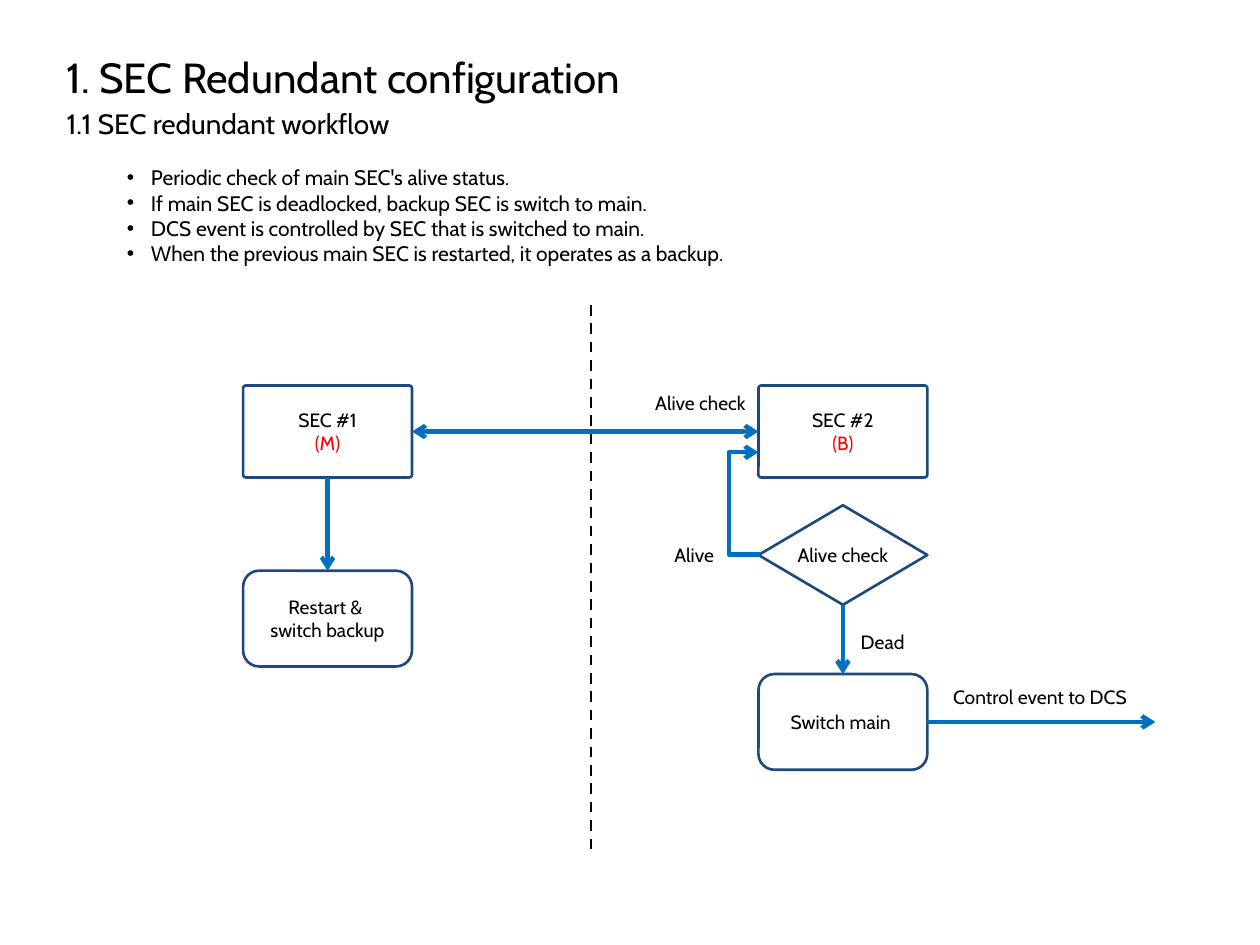
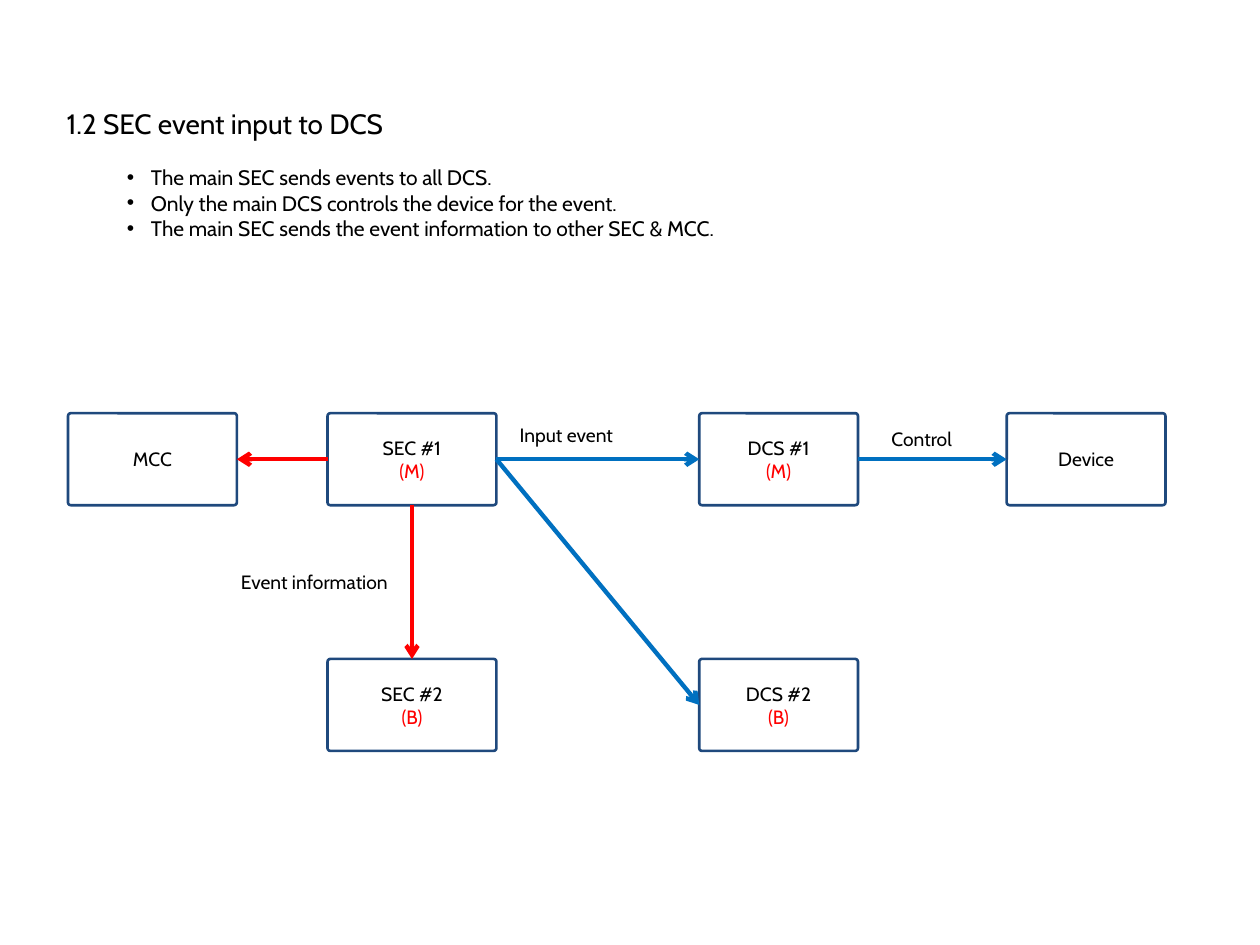
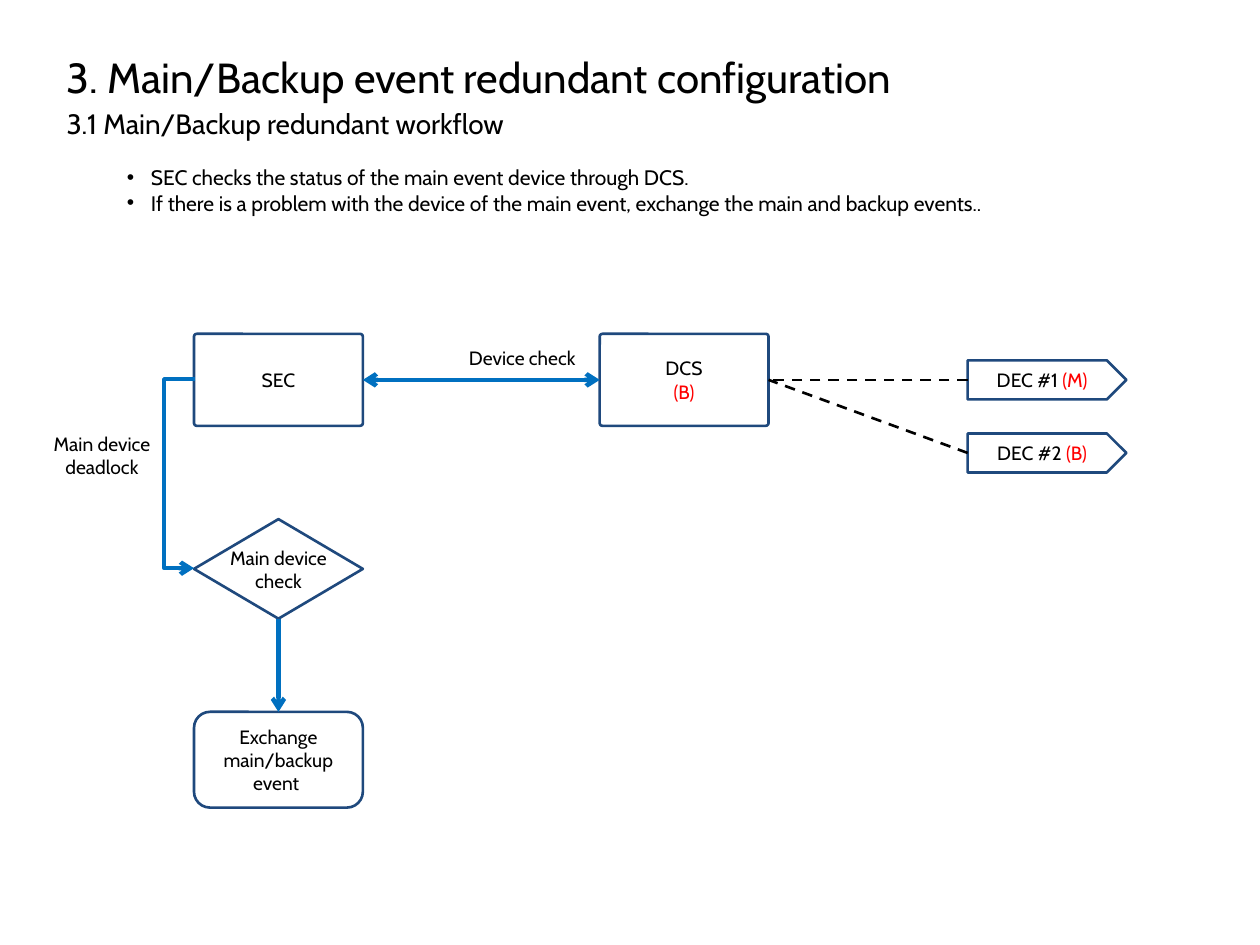
from pptx import Presentation
from pptx.dml.color import RGBColor
from pptx.enum.dml import MSO_LINE
from pptx.enum.shapes import MSO_CONNECTOR, MSO_SHAPE
from pptx.enum.text import MSO_ANCHOR, MSO_AUTO_SIZE, PP_ALIGN
from pptx.oxml.ns import qn
from pptx.util import Inches, Pt
from lxml import etree

ROUND_RECT = MSO_SHAPE.ROUNDED_RECTANGLE
DIAMOND = MSO_SHAPE.DIAMOND
PENTAGON = MSO_SHAPE.PENTAGON
STRAIGHT = MSO_CONNECTOR.STRAIGHT
ELBOW = MSO_CONNECTOR.ELBOW
DASH = MSO_LINE.DASH
LEFT_ALIGN = PP_ALIGN.LEFT
CENTER = PP_ALIGN.CENTER
MIDDLE = MSO_ANCHOR.MIDDLE
FIT_SHAPE = MSO_AUTO_SIZE.SHAPE_TO_FIT_TEXT

TOP, LEFT, BOTTOM, RIGHT = range(4)
FONT = "Cabin"
BLACK, WHITE, RED = "000000", "FFFFFF", "FF0000"
NAVY, BLUE = "1F497D", "0070C0"
NODE_W, NODE_H = 1.34, 0.73
DEVICE_W = 1.26
STEP_H, CHECK_H, EVENT_H = 0.76, 0.79, 0.31
ELBOW_REACH = 0.25


def rgb(color):
    return RGBColor.from_string(color)


def add_run(p, text, size, color):
    r = p.add_run()
    r.text = text
    r.font.name = FONT
    r.font.size = Pt(size)
    r.font.color.rgb = rgb(color)


def add_bullet(p):
    pPr = p._p.get_or_add_pPr()
    pPr.set("marL", str(Inches(0.19)))
    pPr.set("indent", str(-Inches(0.19)))
    etree.SubElement(pPr, qn("a:buFont"), typeface="Arial")
    etree.SubElement(pPr, qn("a:buChar"), char="•")


def write_text(tf, text, size=11, align=CENTER, wrap=False, bullets=False):
    """Write one paragraph per line; a role in brackets, such as (M), is red."""
    tf.word_wrap = wrap
    for i, line in enumerate(text.split("\n")):
        p = tf.paragraphs[0] if i == 0 else tf.add_paragraph()
        p.alignment = align
        if bullets:
            add_bullet(p)
        name, bracket, role = line.partition("(")
        if name:
            add_run(p, name, size, BLACK)
        if role:
            add_run(p, bracket + role, size, RED)


def add_text(s, text, x, y, w, h=0.29, **text_format):
    tf = s.shapes.add_textbox(Inches(x), Inches(y), Inches(w), Inches(h)).text_frame
    write_text(tf, text, **text_format)
    tf.auto_size = FIT_SHAPE


def add_box(s, text, x, y, w, h, kind=ROUND_RECT, corner=None):
    sp = s.shapes.add_shape(kind, Inches(x), Inches(y), Inches(w), Inches(h))
    if corner is not None:
        sp.adjustments[0] = corner
    sp.shadow.inherit = False
    sp.fill.solid()
    sp.fill.fore_color.rgb = rgb(WHITE)
    sp.line.color.rgb = rgb(NAVY)
    sp.line.width = Pt(1.5)
    sp.text_frame.vertical_anchor = MIDDLE
    write_text(sp.text_frame, text)
    return sp


def add_node(s, text, x, y, w=NODE_W):
    return add_box(s, text, x, y, w, NODE_H, corner=0.03)


def add_step(s, text, x, y):
    return add_box(s, text, x, y, NODE_W, STEP_H)


def add_check(s, text, x, y):
    return add_box(s, text, x, y, NODE_W, CHECK_H, kind=DIAMOND)


def style_line(line, color, width, dash=None, ends=()):
    line.line.color.rgb = rgb(color)
    line.line.width = Pt(width)
    if dash:
        line.line.dash_style = dash
    spPr = line.element.spPr
    for end in ends:
        etree.SubElement(spPr.find(qn("a:ln")), qn(f"a:{end}"), type="arrow")
    etree.SubElement(spPr, qn("a:effectLst"))


def add_line(s, start, end, color=BLUE, width=2.5, dash=None, ends=("tailEnd",)):
    """Draw a straight line; each end is a point (x, y) or a (shape, side) pair."""
    line = s.shapes.add_connector(STRAIGHT, 0, 0, 0, 0)
    if isinstance(start[0], (int, float)):
        line.begin_x, line.begin_y = map(Inches, start)
    else:
        line.begin_connect(*start)
    if isinstance(end[0], (int, float)):
        line.end_x, line.end_y = map(Inches, end)
    else:
        line.end_connect(*end)
    style_line(line, color, width, dash, ends)


def add_dashed(s, start, end):
    add_line(s, start, end, color=BLACK, width=1.5, dash=DASH, ends=())


def add_two_way(s, start, end):
    add_line(s, start, end, ends=("headEnd", "tailEnd"))


def add_left_elbow(s, x, y1, y2):
    """Leave to the left at y1 and come back with an arrow at y2."""
    drift = 0.01
    line = s.shapes.add_connector(
        ELBOW, Inches(x + drift), Inches(y1), Inches(x), Inches(y2))
    geom = line.element.spPr.find(qn("a:prstGeom"))
    avLst = geom.find(qn("a:avLst"))
    if avLst is None:
        avLst = etree.SubElement(geom, qn("a:avLst"))
    bend = round(ELBOW_REACH / drift * 100000)
    etree.SubElement(avLst, qn("a:gd"), name="adj1", fmla=f"val {bend}")
    style_line(line, BLUE, 2.5, ends=("tailEnd",))


def add_page(prs, heading, bullets, title=None):
    s = prs.slides.add_slide(prs.slide_layouts[6])
    if title:
        add_text(s, title, 0.43, 0.36, 9.06, 0.5, size=24, align=LEFT_ALIGN, wrap=True)
    add_text(s, heading, 0.43, 0.8, 9.06, 0.37, size=16, align=LEFT_ALIGN, wrap=True)
    add_text(s, "\n".join(bullets), 0.91, 1.26, 8.34, 0.1 + 0.2 * len(bullets),
             size=12, align=LEFT_ALIGN, wrap=True, bullets=True)
    return s


def build_sec_workflow(prs):
    s = add_page(prs, "1.1 SEC redundant workflow", [
        "Periodic check of main SEC's alive status.",
        "If main SEC is deadlocked, backup SEC is switch to main.",
        "DCS event is controlled by SEC that is switched to main.",
        "When the previous main SEC is restarted, it operates as a backup.",
    ], title="1. SEC Redundant configuration")
    main_x, backup_x, sec_y = 1.93, 6.02, 3.06
    add_dashed(s, (4.69, 6.74), (4.69, 2.41))
    main_sec = add_node(s, "SEC #1\n(M)", main_x, sec_y)
    backup_sec = add_node(s, "SEC #2\n(B)", backup_x, sec_y)
    restart = add_step(s, "Restart & \nswitch backup", main_x, 4.53)
    check = add_check(s, "Alive check", backup_x, 4.01)
    switch = add_step(s, "Switch main ", backup_x, 5.35)

    add_two_way(s, (main_sec, RIGHT), (backup_sec, LEFT))
    add_line(s, (main_sec, BOTTOM), (restart, TOP))
    add_left_elbow(s, backup_x, 4.4, 3.59)
    add_line(s, (check, BOTTOM), (switch, TOP))
    add_line(s, (switch, RIGHT), (9.17, 5.73))

    add_text(s, "Alive check", 5.08, 3.06, 0.96)
    add_text(s, "Alive", 5.25, 4.26, 0.52)
    add_text(s, "Dead", 6.73, 4.95, 0.55)
    add_text(s, "Control event to DCS", 7.44, 5.39, 1.63)


def build_event_input(prs):
    s = add_page(prs, "1.2 SEC event input to DCS", [
        "The main SEC sends events to all DCS.",
        "Only the main DCS controls the device for the event.",
        "The main SEC sends the event information to other SEC & MCC.",
    ])
    sec_x, dcs_x, main_y, backup_y = 2.6, 5.55, 3.28, 5.23
    mcc = add_node(s, "MCC", 0.54, main_y)
    main_sec = add_node(s, "SEC #1\n(M)", sec_x, main_y)
    backup_sec = add_node(s, "SEC #2\n(B)", sec_x, backup_y)
    main_dcs = add_node(s, "DCS #1\n(M)", dcs_x, main_y, DEVICE_W)
    backup_dcs = add_node(s, "DCS #2\n(B)", dcs_x, backup_y, DEVICE_W)
    device = add_node(s, "Device", 7.99, main_y, DEVICE_W)

    for dcs in (main_dcs, backup_dcs):
        add_line(s, (main_sec, RIGHT), (dcs, LEFT))
    add_line(s, (main_dcs, RIGHT), (device, LEFT))
    add_line(s, (main_sec, LEFT), (mcc, RIGHT), color=RED)
    add_line(s, (main_sec, BOTTOM), (backup_sec, TOP), color=RED)

    add_text(s, "Input event", 4, 3.31, 0.99)
    add_text(s, "Control", 6.97, 3.34, 0.69)
    add_text(s, "Event information", 1.79, 4.48, 1.41)


def build_event_workflow(prs):
    s = add_page(prs, "3.1 Main/Backup redundant workflow", [
        "SEC checks the status of the main event device through DCS.",
        "If there is a problem with the device of the main event, "
        "exchange the main and backup events..",
    ], title="3. Main/Backup event redundant configuration")
    sec_x, node_y = 1.54, 2.65
    sec = add_node(s, "SEC", sec_x, node_y)
    dcs = add_node(s, "DCS\n(B)", 4.76, node_y)
    check = add_check(s, "Main device\ncheck", sec_x, 4.12)
    exchange = add_step(s, "Exchange\nmain/backup\nevent ", sec_x, 5.65)
    for text, y in (("DEC #1 (M)", 2.86), ("DEC #2 (B)", 3.44)):
        dec = add_box(s, text, 7.68, y, DEVICE_W, EVENT_H, kind=PENTAGON)
        add_dashed(s, (dec, LEFT), (dcs, RIGHT))

    add_two_way(s, (sec, RIGHT), (dcs, LEFT))
    add_left_elbow(s, sec_x, 3.01, 4.51)
    add_line(s, (check, BOTTOM), (exchange, TOP))

    add_text(s, "Device check", 3.6, 2.7, 1.09)
    add_text(s, "Main device\ndeadlock", 0.31, 3.38, 1, 0.47)


def main():
    prs = Presentation()
    prs.slide_width, prs.slide_height = Inches(10), Inches(7.5)
    build_sec_workflow(prs)
    build_event_input(prs)
    build_event_workflow(prs)
    prs.save("out.pptx")


if __name__ == "__main__":
    main()
